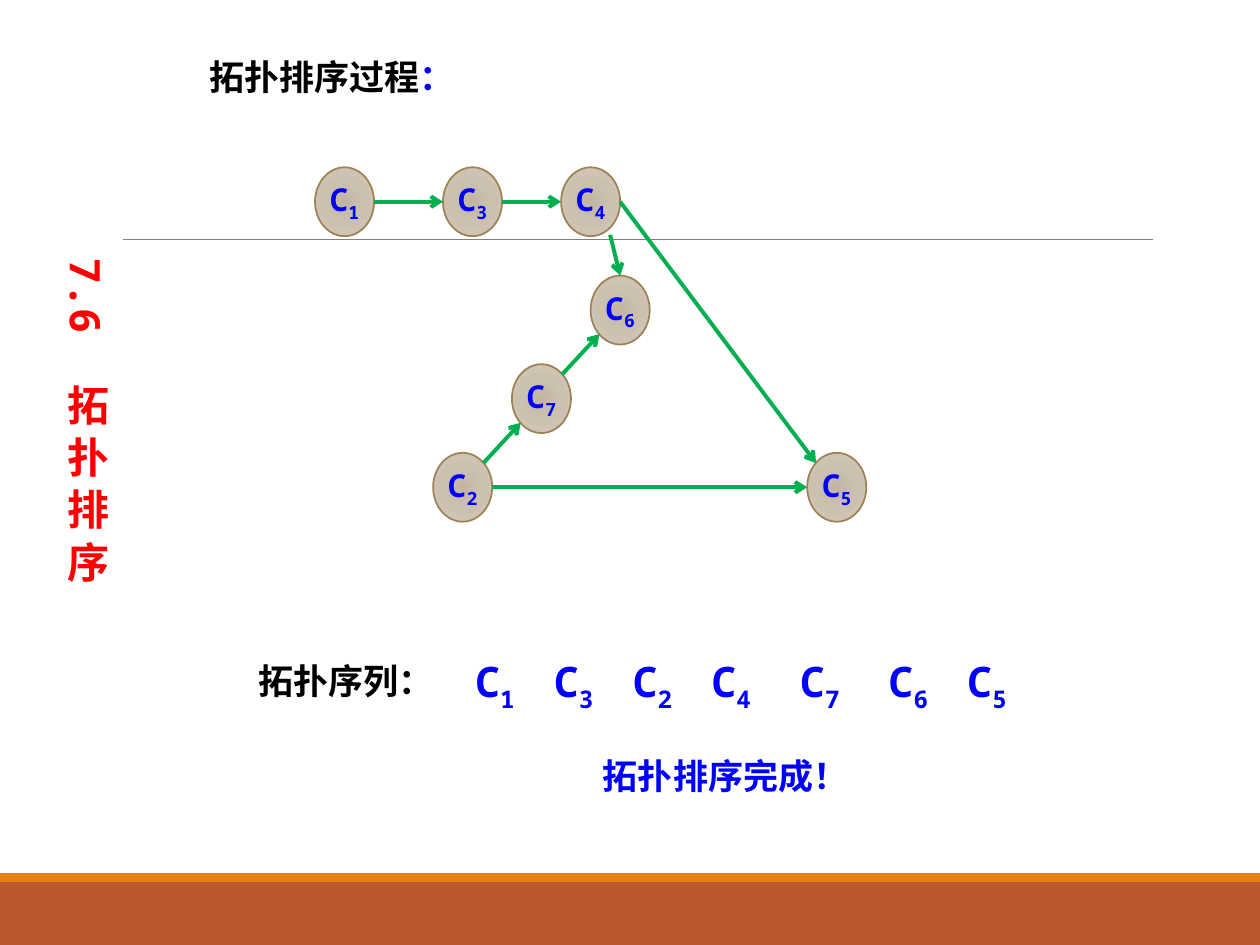
from dataclasses import dataclass

from lxml import etree
from pptx import Presentation
from pptx import util as u
from pptx.dml.color import RGBColor
from pptx.enum import shapes, text
from pptx.oxml import parse_xml
from pptx.oxml import ns


@dataclass(frozen=True)
class Theme:
    """Colours, fonts and type sizes of the slide."""
    blue: str = "0000FF"
    black: str = "000000"
    red: str = "FF0000"
    green: str = "00B050"
    grey: str = "808080"
    rust: str = "BD582C"
    orange: str = "E48312"
    node_line: str = "9B8357"
    node_stops: tuple = ((0, "C2B5A2"), (45, "CCC1B1"), (100, "D4C8B8"))
    mono: str = "Noto Sans Mono"
    serif: str = "Times New Roman"
    node_size: int = 18
    body_size: int = 20
    large_size: int = 24


THEME = Theme()
COLUMNS, ROWS = 128, 96
CELL = u.Inches(10) / COLUMNS
NODE_WIDTH, NODE_HEIGHT = 6, 7

# Node number: column and row inside the graph
NODES = {1: (0, 0), 3: (13, 0), 4: (25, 0), 6: (28, 11),
         5: (50, 29), 2: (12, 29), 7: (20, 20)}
# Points on a node, as shares of its width and height
RIGHT, LEFT, TOP = (1, 0.5), (0, 0.5), (0.5, 0)
UPPER_RIGHT, UPPER_LEFT, LOWER_LEFT = (0.85, 0.15), (0.15, 0.15), (0.15, 0.85)
LOWER_RIGHT = (0.83, 0.98)
EDGES = [(1, RIGHT, 3, LEFT), (3, RIGHT, 4, LEFT), (4, LOWER_RIGHT, 6, TOP),
         (2, UPPER_RIGHT, 7, LOWER_LEFT), (7, UPPER_RIGHT, 6, LOWER_LEFT),
         (2, RIGHT, 5, LEFT), (4, RIGHT, 5, UPPER_LEFT)]
# Node number: column inside the result row
SEQUENCE = {1: 22, 3: 30, 2: 38, 4: 46, 7: 55, 6: 64, 5: 72}


def cells(*counts):
    """Turn grid counts into lengths."""
    return [u.Emu(round(count * CELL)) for count in counts]


def write(paragraph, parts, size):
    """Add bold runs given as (wording, font, colour)."""
    for wording, font, color in parts:
        run = paragraph.add_run()
        run.text = wording
        run.font.name, run.font.size, run.font.bold = font, u.Pt(size), True
        run.font.color.rgb = RGBColor.from_string(color)
    return paragraph.runs


def write_name(paragraph, number, size):
    """Write a node name with its number lowered."""
    runs = write(paragraph, [("C", THEME.mono, THEME.blue),
                             (str(number), THEME.mono, THEME.blue)], size)
    runs[1].font._element.set("baseline", "-25000")


def add_label(slide, box):
    """Add a wrapping text box and return its text frame."""
    frame = slide.shapes.add_textbox(*cells(*box)).text_frame
    frame.word_wrap = True
    frame.auto_size = text.MSO_AUTO_SIZE.SHAPE_TO_FIT_TEXT
    return frame


def add_line(slide, start, end, color, width, arrow=False):
    """Add a straight line between two grid points."""
    line = slide.shapes.add_connector(
        shapes.MSO_CONNECTOR.STRAIGHT, *cells(*start, *end))
    line.line.color.rgb = RGBColor.from_string(color)
    line.line.width = u.Pt(width)
    if arrow:
        etree.SubElement(line.line._get_or_add_ln(), ns.qn("a:tailEnd"), type="arrow")
    etree.SubElement(line._element.spPr, ns.qn("a:effectLst"))


def add_frame(slide):
    """Draw the footer bars and the rule across the slide."""
    for top, height, color in ((89.6, 6.4, THEME.rust), (88.7, 0.9, THEME.orange)):
        bar = slide.shapes.add_shape(
            shapes.MSO_SHAPE.RECTANGLE, *cells(0, top, COLUMNS, height))
        bar.shadow.inherit = False
        bar.fill.solid()
        bar.fill.fore_color.rgb = RGBColor.from_string(color)
        bar.line.fill.background()
    add_line(slide, (12.5, 24.3), (117.1, 24.3), THEME.grey, 0.5)


def add_node(slide, left, top, number):
    """Draw one graph node with a radial fill."""
    node = slide.shapes.add_shape(
        shapes.MSO_SHAPE.OVAL, *cells(left, top, NODE_WIDTH, NODE_HEIGHT))
    node.shadow.inherit = False
    node.line.color.rgb = RGBColor.from_string(THEME.node_line)
    node.line.width = u.Pt(1)
    node.fill.background()
    stops = "".join(f'<a:gs pos="{share * 1000}"><a:srgbClr val="{color}"/></a:gs>'
                    for share, color in THEME.node_stops)
    properties = node._element.spPr
    properties.replace(properties.find(ns.qn("a:noFill")), parse_xml(
        f'<a:gradFill {ns.nsdecls("a")}><a:gsLst>{stops}</a:gsLst><a:path path="circle">'
        '<a:fillToRect l="100000" t="100000" r="100000" b="100000"/>'
        '</a:path></a:gradFill>'))
    frame = node.text_frame
    frame.margin_left = frame.margin_right = 0
    frame.vertical_anchor = text.MSO_ANCHOR.MIDDLE
    frame.paragraphs[0].alignment = text.PP_ALIGN.CENTER
    write_name(frame.paragraphs[0], number, THEME.node_size)


def add_graph(slide, left, top):
    """Draw the nodes and the arrows between them."""
    def point(number, share):
        column, row = NODES[number]
        return (left + column + share[0] * NODE_WIDTH,
                top + row + share[1] * NODE_HEIGHT)

    for number, (column, row) in NODES.items():
        add_node(slide, left + column, top + row, number)
    for source, start, target, end in EDGES:
        add_line(slide, point(source, start), point(target, end),
                 THEME.green, 2.25, arrow=True)


def add_title(slide, box):
    """Place the heading in the title placeholder."""
    title = slide.shapes.title
    title.left, title.top, title.width, title.height = cells(*box)
    frame = title.text_frame
    frame.vertical_anchor = text.MSO_ANCHOR.TOP
    frame.auto_size = text.MSO_AUTO_SIZE.NONE
    frame.paragraphs[0].alignment = text.PP_ALIGN.LEFT
    write(frame.paragraphs[0], [("拓扑排序过程", THEME.serif, THEME.black),
                                ("：", THEME.serif, THEME.blue)], THEME.body_size)


def add_result(slide, left, top):
    """Write the resulting order and the closing line."""
    label = add_label(slide, (left, top + 0.4, 20, 5.6))
    write(label.paragraphs[0], [("拓扑", THEME.serif, THEME.black),
                                ("序列", THEME.mono, THEME.black),
                                ("：", THEME.serif, THEME.black)], THEME.body_size)
    for number, column in SEQUENCE.items():
        name = add_label(slide, (left + column, top, 9, 6.4))
        write_name(name.paragraphs[0], number, THEME.large_size)
    closing = add_label(slide, (left + 35, top + 10, 31, 5.6))
    write(closing.paragraphs[0], [("拓扑排序完成！", THEME.serif, THEME.blue)],
          THEME.body_size)


def add_section(slide, box):
    """Write the section name downwards at the left edge."""
    frame = add_label(slide, box)
    frame._txBody.bodyPr.set("vert", "eaVert")
    paragraph = frame.paragraphs[0]
    paragraph.alignment = text.PP_ALIGN.CENTER
    runs = write(paragraph, [(part, THEME.mono, THEME.red)
                             for part in ("7.6", " ", "拓 扑 排 序")], THEME.large_size)
    runs[1].font._element.set("spc", "1440")


presentation = Presentation()
presentation.slide_width, presentation.slide_height = cells(COLUMNS, ROWS)
slide = presentation.slides.add_slide(presentation.slide_layouts[5])
add_frame(slide)
add_graph(slide, 32, 17)
add_title(slide, (20, 5, 45, 5.6))
add_result(slide, 25, 66)
add_section(slide, (4.2, 25, 7.8, 41))
presentation.save("out.pptx")
